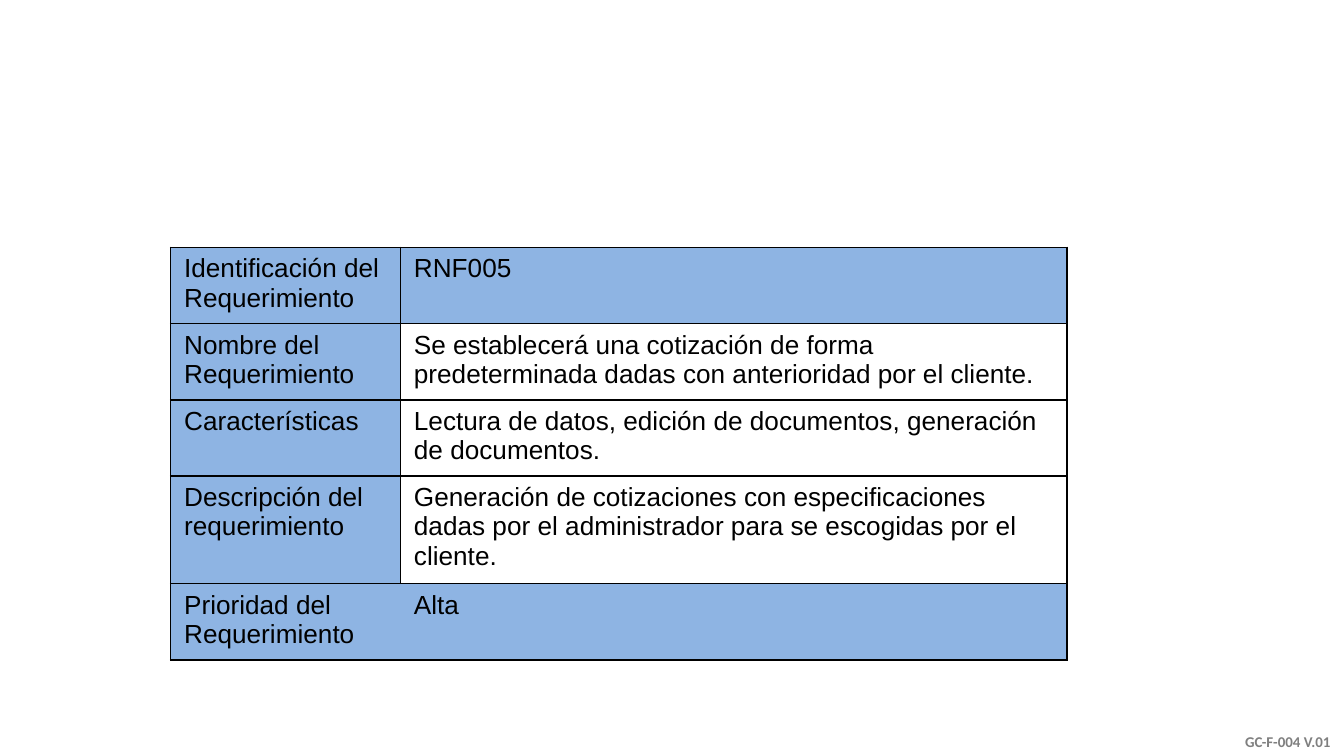
from lxml import etree
from pptx import Presentation
from pptx.dml.color import RGBColor
from pptx.enum.text import MSO_ANCHOR, PP_ALIGN
from pptx.oxml.ns import qn
from pptx.util import Inches, Pt

LEFT = PP_ALIGN.LEFT
RIGHT = PP_ALIGN.RIGHT
TOP = MSO_ANCHOR.TOP
BOTTOM = MSO_ANCHOR.BOTTOM

REQUIREMENT = [
    ("Identificación del Requerimiento", "RNF005"),
    ("Nombre del Requerimiento",
     "Se establecerá una cotización de forma predeterminada dadas con anterioridad por el cliente."),
    ("Características", "Lectura de datos, edición de documentos, generación de documentos."),
    ("Descripción del requerimiento",
     "Generación de cotizaciones con especificaciones dadas por el administrador "
     "para se escogidas por el cliente."),
    ("Prioridad del Requerimiento", "Alta"),
]
COLUMN_WIDTHS = [1.71, 4.96]
ROW_HEIGHT = 0.41


def color(value):
    return RGBColor.from_string(value)


def write_text(frame, text, font="Arial", size=14, ink="000000", bold=False, align=LEFT):
    paragraph = frame.paragraphs[0]
    paragraph.alignment = align
    run = paragraph.add_run()
    run.text = text
    run.font.name = font
    run.font.size = Pt(size)
    run.font.bold = bold
    run.font.color.rgb = color(ink)


class SlideBuilder:
    highlight = "8EB4E3"
    border = "000000"
    muted = "7F7F7F"

    def __init__(self, slide):
        self.slide = slide

    def add_form_code(self, text, left, top, width, height):
        shape = self.slide.shapes.add_textbox(Inches(left), Inches(top), Inches(width), Inches(height))
        frame = shape.text_frame
        frame.word_wrap = True
        frame.vertical_anchor = BOTTOM
        write_text(frame, text, font="Calibri", size=8, ink=self.muted, bold=True, align=RIGHT)

    def add_border(self, cell, side, visible):
        properties = cell._tc.get_or_add_tcPr()
        line = etree.SubElement(properties, qn(f"a:ln{side}"), w=str(Pt(1)))
        if visible:
            fill = etree.SubElement(line, qn("a:solidFill"))
            etree.SubElement(fill, qn("a:srgbClr"), val=self.border)
        else:
            etree.SubElement(line, qn("a:noFill"))

    def add_cell(self, cell, text, highlighted, open_side):
        for side in "LRTB":
            self.add_border(cell, side, side != open_side)
        if highlighted:
            cell.fill.solid()
            cell.fill.fore_color.rgb = color(self.highlight)
        else:
            cell.fill.background()
        cell.vertical_anchor = TOP
        write_text(cell.text_frame, text)

    def add_requirement_table(self, rows, left, top):
        table = self.slide.shapes.add_table(
            len(rows), len(COLUMN_WIDTHS), Inches(left), Inches(top),
            Inches(sum(COLUMN_WIDTHS)), Inches(ROW_HEIGHT * len(rows))).table
        table.first_row = False
        table.horz_banding = False
        for column, width in zip(table.columns, COLUMN_WIDTHS):
            column.width = Inches(width)
        last = len(rows) - 1
        for row_index, texts in enumerate(rows):
            table.rows[row_index].height = Inches(ROW_HEIGHT)
            for column_index, text in enumerate(texts):
                highlighted = column_index == 0 or row_index in (0, last)
                open_side = "RL"[column_index] if row_index == last else None
                self.add_cell(table.cell(row_index, column_index), text, highlighted, open_side)


def main():
    presentation = Presentation()
    presentation.slide_width = Inches(10)
    presentation.slide_height = Inches(10 * 9 / 16)
    builder = SlideBuilder(presentation.slides.add_slide(presentation.slide_layouts[6]))
    builder.add_form_code("GC-F-004 V.01", 8.37, 5.2, 1.63, 0.43)
    builder.add_requirement_table(REQUIREMENT, 1.27, 1.84)
    presentation.save("out.pptx")


if __name__ == "__main__":
    main()
